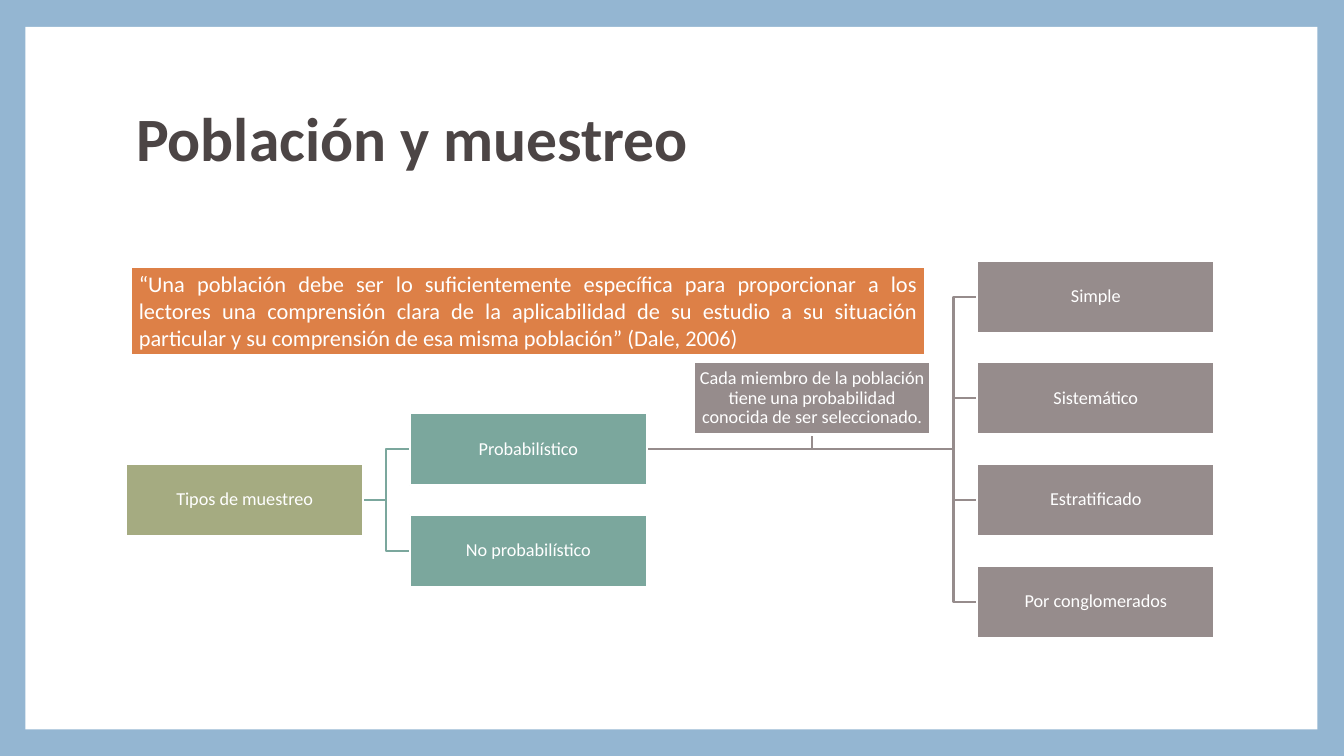
from dataclasses import dataclass

from pptx import Presentation
from pptx.dml.color import RGBColor as RGB
from pptx.enum.shapes import MSO_SHAPE as Shape
from pptx.enum.text import MSO_ANCHOR as Anchor, PP_ALIGN as Align
from pptx.util import Cm, Pt


@dataclass(frozen=True)
class Theme:
    font: str = "Calibri"
    frame: str = "94B6D2"
    white: str = "FFFFFF"
    ink: str = "4C4545"
    quote: str = "DD8047"
    root: str = "A5AB81"
    kind: str = "7BA79D"
    method: str = "968C8C"
    head: float = 44
    body: float = 16
    label: float = 13
    edge: float = 1.5
    border: float = 4.25


@dataclass(frozen=True)
class Node:
    text: str
    col: int
    row: int
    fill: str

    @property
    def left(self) -> float:
        return 3.18 + 7.15 * self.col

    @property
    def mid(self) -> float:
        return 7.48 + 1.28 * self.row


WIDE, HIGH, BEND = 5.97, 1.82, 0.6
THEME = Theme()

ROOT = Node("Tipos de muestreo", 0, 4, THEME.root)
PROB = Node("Probabilístico", 1, 3, THEME.kind)
OTHER = Node("No probabilístico", 1, 5, THEME.kind)
NOTE = Node(
    "Cada miembro de la población tiene una probabilidad conocida de ser seleccionado.",
    2, 2, THEME.method,
)
METHODS = [
    Node(text, 3, 2 * i, THEME.method)
    for i, text in enumerate(
        ["Simple", "Sistemático", "Estratificado", "Por conglomerados"]
    )
]
LINKS = [(ROOT, PROB), (ROOT, OTHER)] + [(PROB, item) for item in METHODS]


def write(shape, text: str, size: float, color: str, align: Align,
          space: float = 1.0, bold: bool = False) -> None:
    frame = shape.text_frame
    frame.word_wrap = True
    frame.vertical_anchor = Anchor.MIDDLE
    par = frame.paragraphs[0]
    par.text = text
    par.alignment = align
    par.line_spacing = space
    par.font.name = THEME.font
    par.font.size = Pt(size)
    par.font.bold = bold
    par.font.color.rgb = RGB.from_string(color)


def block(slide, left: float, top: float, width: float, height: float,
          fill: str, border: float = 0):
    box = slide.shapes.add_shape(
        Shape.RECTANGLE, Cm(left), Cm(top), Cm(width), Cm(height)
    )
    box.shadow.inherit = False
    box.fill.solid()
    box.fill.fore_color.rgb = RGB.from_string(fill)
    if border:
        box.line.color.rgb = RGB.from_string(THEME.white)
        box.line.width = Pt(border)
    else:
        box.line.fill.background()
    return box


def trace(slide, points: list[tuple[float, float]], color: str) -> None:
    start, *rest = [(Cm(x), Cm(y)) for x, y in points]
    pen = slide.shapes.build_freeform(*start)
    pen.add_line_segments(rest, close=False)
    line = pen.convert_to_shape()
    line.shadow.inherit = False
    line.fill.background()
    line.line.color.rgb = RGB.from_string(color)
    line.line.width = Pt(THEME.edge)


def link(slide, start: Node, end: Node) -> None:
    turn = end.left - BEND
    trace(slide, [(start.left + WIDE, start.mid), (turn, start.mid),
                  (turn, end.mid), (end.left, end.mid)], end.fill)


def draw(slide, node: Node) -> None:
    box = block(slide, node.left, node.mid - HIGH / 2, WIDE, HIGH,
                node.fill, THEME.edge)
    frame = box.text_frame
    frame.margin_left = frame.margin_right = Cm(0.03)
    frame.margin_top = frame.margin_bottom = Cm(0.03)
    write(box, node.text, THEME.label, THEME.white, Align.CENTER, 0.9)


def main() -> None:
    deck = Presentation()
    deck.slide_width, deck.slide_height = Cm(33.87), Cm(19.05)
    slide = deck.slides.add_slide(deck.slide_layouts[6])
    slide.background.fill.solid()
    slide.background.fill.fore_color.rgb = RGB.from_string(THEME.frame)
    block(slide, 0.64, 0.68, 32.56, 17.7, THEME.white)

    title = slide.shapes.add_textbox(Cm(3.18), Cm(1.7), Cm(27.43), Cm(3.76))
    write(title, "Población y muestreo", THEME.head, THEME.ink,
          Align.LEFT, 0.9, True)

    for start, end in LINKS:
        link(slide, start, end)
    center = NOTE.left + WIDE / 2
    trace(slide, [(PROB.left + WIDE, PROB.mid), (center, PROB.mid),
                  (center, NOTE.mid + HIGH / 2)], NOTE.fill)
    for node in [ROOT, PROB, OTHER, NOTE, *METHODS]:
        draw(slide, node)

    quote = block(slide, 3.25, 6.68, 20.12, 2.31, THEME.quote, THEME.border)
    write(
        quote,
        "“Una población debe ser lo suficientemente específica para "
        "proporcionar a los lectores una comprensión clara de la "
        "aplicabilidad de su estudio a su situación particular y su "
        "comprensión de esa misma población” (Dale, 2006)",
        THEME.body, THEME.white, Align.JUSTIFY,
    )
    deck.save("out.pptx")


if __name__ == "__main__":
    main()
